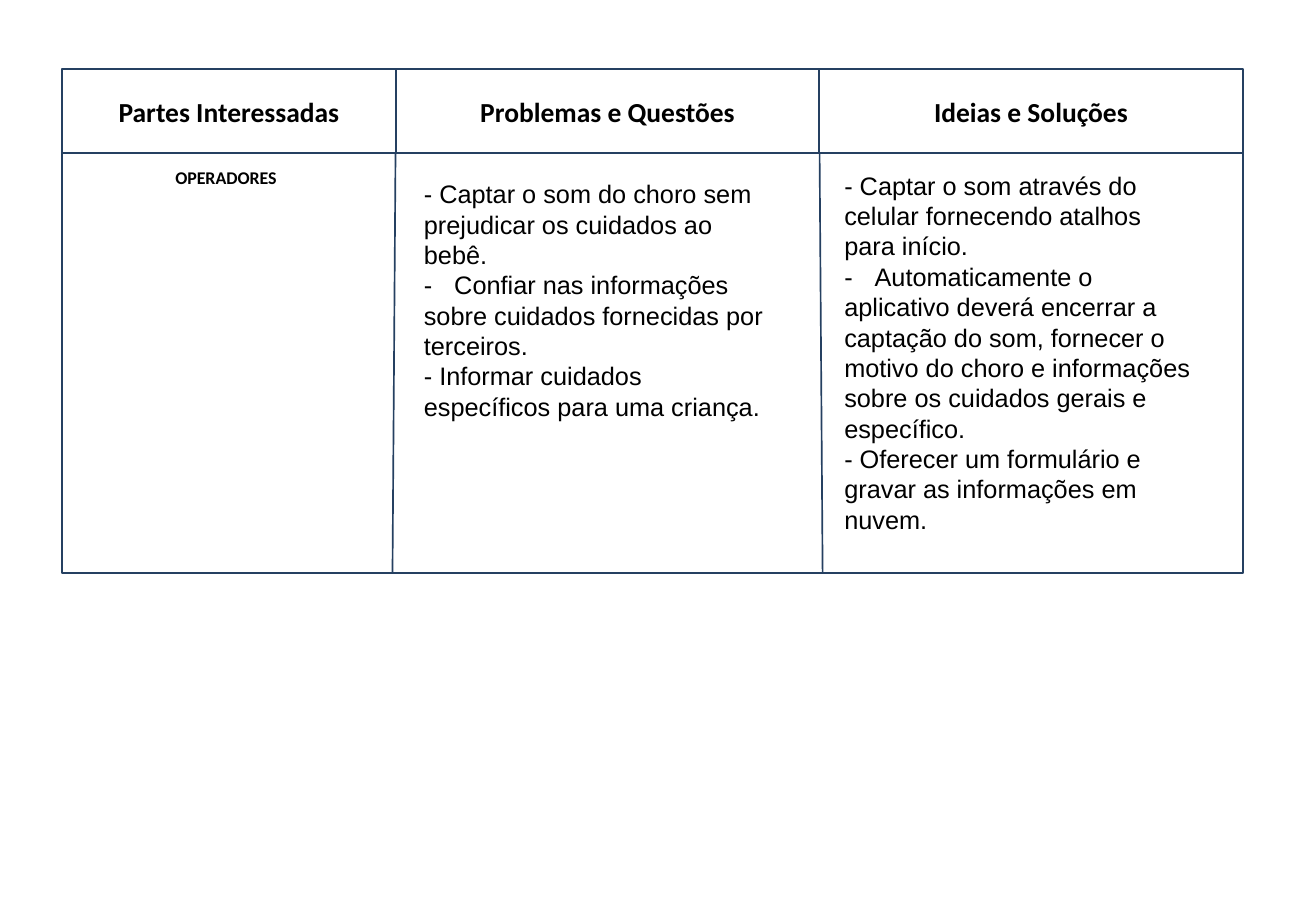
from lxml import etree
from pptx import Presentation
from pptx.dml.color import RGBColor
from pptx.enum.shapes import MSO_CONNECTOR, MSO_SHAPE
from pptx.enum.text import MSO_ANCHOR, PP_ALIGN
from pptx.oxml.ns import qn
from pptx.util import Inches, Pt

# Content
HEADERS = ["Partes Interessadas", "Problemas e Questões", "Ideias e Soluções"]
STAKEHOLDER = "OPERADORES"
PROBLEMS = [
    "- Captar o som do choro sem prejudicar os cuidados ao bebê.",
    "-\tConfiar nas informações sobre cuidados fornecidas por terceiros.",
    "- Informar cuidados específicos para uma criança.",
]
IDEAS = [
    "- Captar o som através do celular fornecendo atalhos para início.",
    "-\tAutomaticamente o aplicativo deverá encerrar a captação do som, "
    "fornecer o motivo do choro e informações sobre os cuidados gerais e específico.",
    "- Oferecer um formulário e gravar as informações em nuvem.",
]

# Colours and grid (inches)
NAVY = RGBColor(0x25, 0x40, 0x61)
BLACK = RGBColor(0, 0, 0)
WHITE = RGBColor(0xFF, 0xFF, 0xFF)
COLUMNS = [0.51, 3.26, 6.74, 10.23]
HEAD_TOP, BODY_TOP, BODY_BOTTOM = 0.57, 1.26, 4.72
DIVIDER_ENDS = [3.23, 6.77]
TAB_STOP = 0.25

prs = Presentation()
prs.slide_width, prs.slide_height = Inches(10.83), Inches(7.5)
slide = prs.slides.add_slide(prs.slide_layouts[6])


def add_box(left, top, right, bottom, fill=None):
    sp = slide.shapes.add_shape(MSO_SHAPE.RECTANGLE, Inches(left), Inches(top),
                                Inches(right - left), Inches(bottom - top))
    sp.shadow.inherit = False
    if fill is None:
        sp.fill.background()
    else:
        sp.fill.solid()
        sp.fill.fore_color.rgb = fill
    sp.line.color.rgb = NAVY
    sp.line.width = Pt(1)
    return sp


def add_divider(x1, y1, x2, y2):
    line = slide.shapes.add_connector(MSO_CONNECTOR.STRAIGHT, Inches(x1), Inches(y1),
                                      Inches(x2), Inches(y2))
    line.line.color.rgb = NAVY
    line.line.width = Pt(1)
    etree.SubElement(line._element.spPr, qn("a:effectLst"))


def add_textbox(left, top, width, height):
    return slide.shapes.add_textbox(Inches(left), Inches(top), Inches(width), Inches(height))


def write(sp, lines, size, font="Calibri", bold=True, align=PP_ALIGN.CENTER,
          anchor=MSO_ANCHOR.TOP, inset=(0.1, 0.05)):
    tf = sp.text_frame
    tf.word_wrap = True
    tf.vertical_anchor = anchor
    tf.margin_left = tf.margin_right = Inches(inset[0])
    tf.margin_top = tf.margin_bottom = Inches(inset[1])
    for i, text in enumerate(lines):
        p = tf.paragraphs[0] if i == 0 else tf.add_paragraph()
        p.alignment = align
        if "\t" in text:
            tabs = etree.SubElement(p._p.get_or_add_pPr(), qn("a:tabLst"))
            etree.SubElement(tabs, qn("a:tab"), pos=str(Inches(TAB_STOP)), algn="l")
        r = p.add_run()
        r.text = text
        r.font.name, r.font.size, r.font.bold = font, Pt(size), bold
        r.font.color.rgb = BLACK


# Body frame and column dividers
add_box(COLUMNS[0], BODY_TOP, COLUMNS[-1], BODY_BOTTOM)
for x, x_end in zip(COLUMNS[1:], DIVIDER_ENDS):
    add_divider(x, HEAD_TOP, x_end, BODY_BOTTOM)

# Header cells
for left, right, header in zip(COLUMNS, COLUMNS[1:], HEADERS):
    write(add_box(left, HEAD_TOP, right, BODY_TOP, WHITE), [header], 16.3,
          anchor=MSO_ANCHOR.MIDDLE, inset=(0.08, 0.04))

# Body texts
write(add_textbox(0.78, 1.36, 2.16, 0.19), [STAKEHOLDER], 10.6, inset=(0.02, 0.01))
for left, top, lines in [(3.39, 1.42, PROBLEMS), (6.85, 1.35, IDEAS)]:
    write(add_textbox(left, top, 3.07, 0.38), lines, 15, font="Arial", bold=False,
          align=PP_ALIGN.LEFT)

prs.save("out.pptx")
